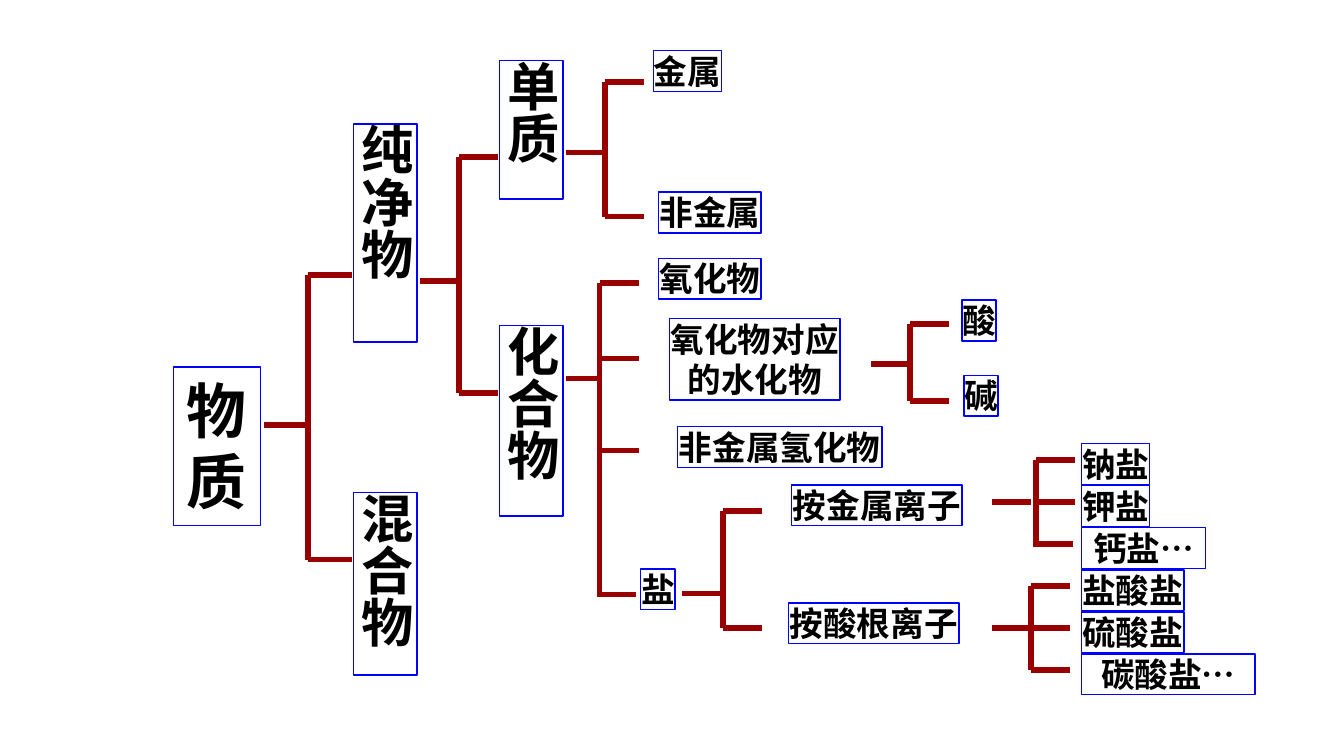
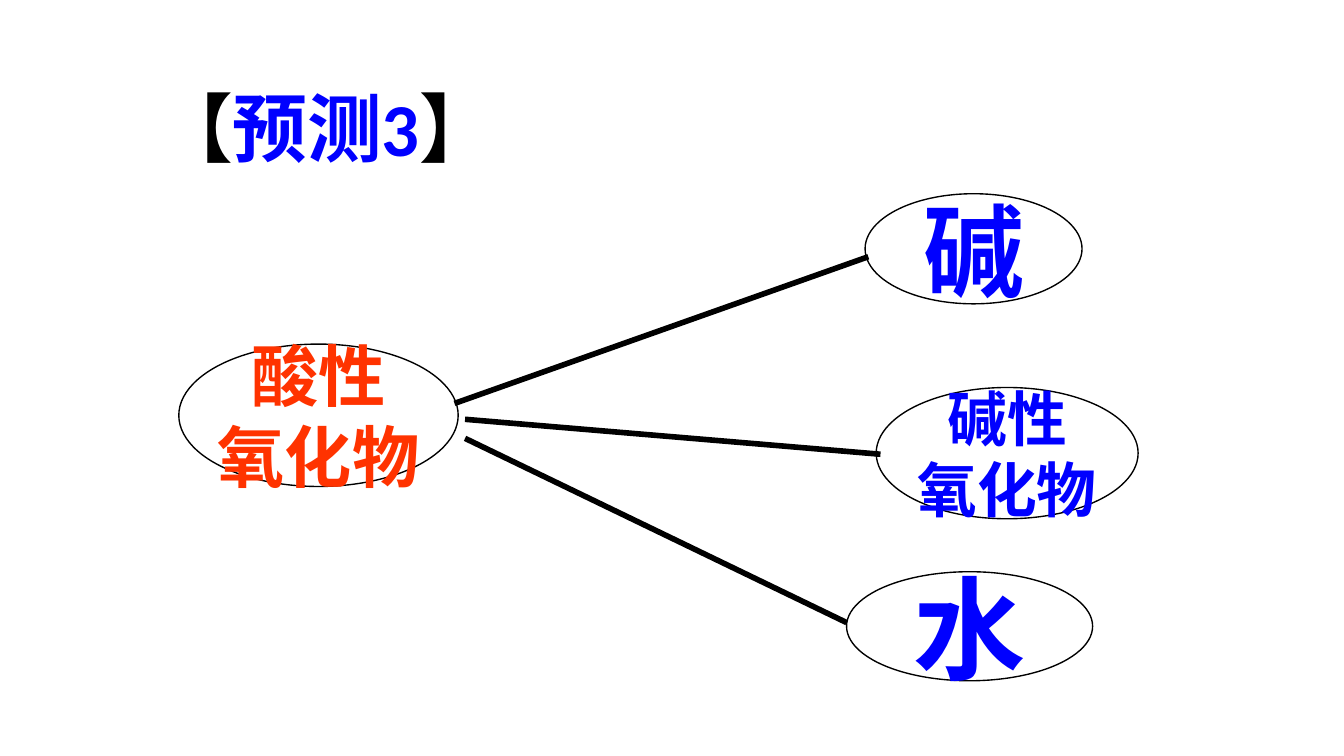
from dataclasses import dataclass

from lxml.etree import SubElement
from pptx import Presentation
from pptx.dml.color import RGBColor
from pptx.enum.shapes import MSO_CONNECTOR, MSO_SHAPE
from pptx.enum.text import MSO_ANCHOR, MSO_AUTO_SIZE, PP_ALIGN
from pptx.oxml.ns import qn
from pptx.util import Cm, Pt


@dataclass(frozen=True)
class Theme:
    black: str = "000000"
    blue: str = "0000FF"
    red: str = "FF3300"
    bracket: str = "990000"
    font: str = "Calibri"
    round_font: str = "Arial"
    thin: float = 0.75
    thick: float = 3
    root: int = 32
    branch: int = 28
    leaf: int = 18
    title: int = 40


T = Theme()

# Classification tree; all lengths in cm
ROOT = (["物", "质"], (3.28, 6.93, 1.65, 3.0))
BRANCHES = [  # text, left, top, height
    ("纯净物", 6.68, 2.34, 4.12),
    ("混合物", 6.68, 9.3, 3.45),
    ("单质", 9.44, 1.14, 2.62),
    ("化合物", 9.44, 6.15, 3.6),
]
LEAVES = [  # lines, left, top
    (["金属"], 12.35, 0.96),
    (["非金属"], 12.45, 3.63),
    (["氧化物"], 12.45, 4.88),
    (["氧化物对应", "的水化物"], 12.65, 6.02),
    (["非金属氢化物"], 12.8, 8.06),
    (["盐"], 12.11, 10.75),
    (["按金属离子"], 14.96, 9.16),
    (["按酸根离子"], 14.9, 11.39),
    (["酸"], 18.18, 5.67),
    (["碱"], 18.22, 7.09),
]
SALTS = [  # text, fixed width where the box is wider than its text
    ("钠盐", None), ("钾盐", None), ("钙盐…", 2.34),
    ("盐酸盐", None), ("硫酸盐", None), ("碳酸盐…", 3.28),
]
BRANCH_W, CHAR_W, LINE_H = 1.2, 0.645, 0.77
SALT_LEFT, SALT_TOP, SALT_STEP = 20.44, 8.38, 0.795

# stem x, root (from x, to x, y), tooth heights, tooth length, shift of last tooth
BRACKETS = [
    (5.82, (4.98, 5.82, 8.03), (5.2, 10.57), 0.84, 0),
    (8.68, (7.93, 8.68, 5.31), (2.97, 7.42), 0.74, 0),
    (11.43, (10.69, 11.43, 2.88), (1.55, 4.09), 0.74, 0),
    (11.33, (10.69, 11.28, 7.15), (5.35, 6.77, 8.51, 11.23), 0.74, -0.05),
    (17.2, (16.46, 17.2, 6.88), (6.12, 7.57), 0.74, 0),
    (19.58, (18.74, 19.48, 9.48), (8.69, 9.48, 10.28), 0.74, -0.05),
    (19.48, (18.74, 19.48, 11.86), (11.07, 11.86, 12.65), 0.74, 0),
    (13.66, (12.88, 13.62, 11.21), (9.65, 11.86), 0.74, 0),
]

# Prediction slide
TITLE = [("【", T.black), ("预测3", T.blue), ("】", T.black)]
TITLE_BOX = (2.74, 1.42, 8.23, 1.96)
OVALS = [  # lines, box, size, font, colour
    (["酸性", "氧化物"], (3.38, 6.5, 5.28, 2.69), 36, T.round_font, T.red),
    (["碱"], (16.35, 3.66, 4.1, 2.08), 54, T.font, T.blue),
    (["碱性", "氧化物"], (16.56, 7.32, 4.95, 2.48), 32, T.round_font, T.blue),
    (["水"], (16.0, 10.8, 4.65, 2.06), 60, T.round_font, T.blue),
]
LINKS = [
    (8.59, 7.62, 16.41, 4.85),
    (8.79, 7.92, 16.64, 8.58),
    (8.79, 8.28, 16.0, 11.76),
]


def rgb(color):
    return RGBColor.from_string(color)


def add_run(p, text, size, color, font):
    r = p.add_run()
    r.text = text
    r.font.size, r.font.bold, r.font.name = Pt(size), True, font
    r.font.color.rgb = rgb(color)


def add_lines(tf, lines, size, color, font, align):
    for i, text in enumerate(lines):
        p = tf.add_paragraph() if i else tf.paragraphs[0]
        p.alignment = align
        add_run(p, text, size, color, font)


def add_outline(shapes, kind, box, color):
    """Unfilled shape with a thin outline; returns its text frame."""
    sp = shapes.add_shape(kind, *map(Cm, box))
    sp.shadow.inherit = False
    sp.fill.background()
    sp.line.color.rgb = rgb(color)
    sp.line.width = Pt(T.thin)
    return sp.text_frame


def add_box(s, lines, box, size, wrap=False, tight=True, vertical=False):
    tf = add_outline(s.shapes, MSO_SHAPE.RECTANGLE, box, T.blue)
    tf.vertical_anchor = MSO_ANCHOR.TOP
    tf.word_wrap = wrap
    tf.auto_size = MSO_AUTO_SIZE.SHAPE_TO_FIT_TEXT
    if tight:
        tf.margin_left = tf.margin_top = tf.margin_right = tf.margin_bottom = 0
    if vertical:
        tf._txBody.bodyPr.set("vert", "eaVert")
    align = PP_ALIGN.CENTER if tight else PP_ALIGN.LEFT
    add_lines(tf, lines, size, T.black, T.font, align)


def add_line(shapes, ends, color):
    c = shapes.add_connector(MSO_CONNECTOR.STRAIGHT, *map(Cm, ends))
    c.line.color.rgb = rgb(color)
    c.line.width = Pt(T.thick)
    SubElement(c._element.spPr, qn("a:effectLst"))


def add_bracket(s, x, root, teeth, length, shift):
    shapes = s.shapes.add_group_shape().shapes
    x0, x1, y = root
    add_line(shapes, (x, teeth[0], x, teeth[-1]), T.bracket)
    add_line(shapes, (x0, y, x1, y), T.bracket)
    for y in teeth:
        left = x + shift if y == teeth[-1] else x
        add_line(shapes, (left, y, left + length, y), T.bracket)


def build_tree(s):
    # Brackets
    for bracket in BRACKETS:
        add_bracket(s, *bracket)
    # Root and vertical branches
    add_box(s, *ROOT, T.root, tight=False)
    for text, x, y, h in BRANCHES:
        add_box(s, [text], (x, y, BRANCH_W, h), T.branch, wrap=True, vertical=True)
    # Leaves, sized by their text
    for lines, x, y in LEAVES:
        box = (x, y, len(lines[0]) * CHAR_W, len(lines) * LINE_H)
        add_box(s, lines, box, T.leaf)
    # Column of salts
    for i, (text, width) in enumerate(SALTS):
        box = (SALT_LEFT, SALT_TOP + i * SALT_STEP, width or len(text) * CHAR_W, LINE_H)
        add_box(s, [text], box, T.leaf, wrap=width is not None)


def build_prediction(s):
    # Title
    tf = s.shapes.add_textbox(*map(Cm, TITLE_BOX)).text_frame
    tf.word_wrap = True
    tf.auto_size = MSO_AUTO_SIZE.SHAPE_TO_FIT_TEXT
    for text, color in TITLE:
        add_run(tf.paragraphs[0], text, T.title, color, T.font)
    # Substances
    for lines, box, size, font, color in OVALS:
        tf = add_outline(s.shapes, MSO_SHAPE.OVAL, box, T.black)
        tf.vertical_anchor = MSO_ANCHOR.MIDDLE
        tf.word_wrap = False
        add_lines(tf, lines, size, color, font, PP_ALIGN.CENTER)
    # Links
    for ends in LINKS:
        add_line(s.shapes, ends, T.black)


def main():
    prs = Presentation()
    prs.slide_width, prs.slide_height = Cm(25.4), Cm(14.28)
    for build in (build_tree, build_prediction):
        build(prs.slides.add_slide(prs.slide_layouts[6]))
    prs.save("out.pptx")


if __name__ == "__main__":
    main()
